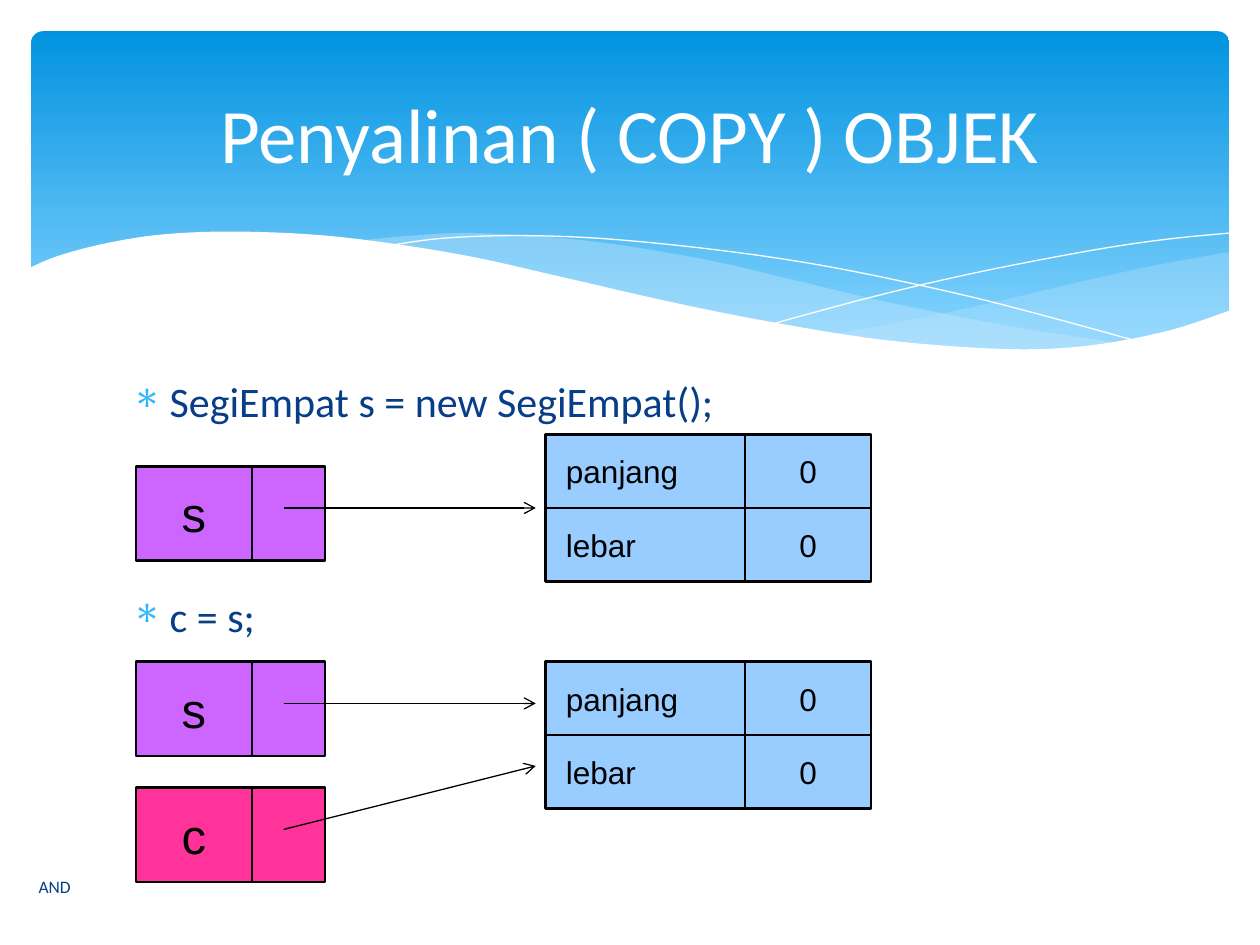
import pptx
import pptx.dml.color
import pptx.enum.shapes
import pptx.enum.text
import pptx.oxml
import pptx.oxml.ns
import pptx.util
import lxml.etree

Cm = pptx.util.Cm
Pt = pptx.util.Pt
qn = pptx.oxml.ns.qn
ALIGN = pptx.enum.text.PP_ALIGN
MIDDLE = pptx.enum.text.MSO_ANCHOR.MIDDLE
COLORS = {
    "sky": "0293E0", "light_sky": "83D3FE", "mist": "C6E7FC", "white": "FFFFFF",
    "navy": "073E87", "bullet": "31B6FD", "black": "000000",
    "purple": "CC66FF", "pink": "FF3399", "blue": "99CCFF",
}
RIGHT_BAND = [
    [(24.79, 5.08), (23.39, 5.33), (21.87, 5.66), (19.79, 6.15), (17.93, 6.53), (16.79, 6.73)],
    [(16.79, 6.73), (18.59, 6.96), (20.4, 7.06), (22.15, 6.96), (23.57, 6.68), (24.79, 6.27)],
]
MIDDLE_BAND = [
    [(22.68, 6.93), (20.5, 6.6), (17.93, 6.1), (15.98, 5.64), (14.1, 5.21),
     (11.81, 4.85), (9.65, 4.7), (8.33, 4.75), (7.26, 4.85)],
    [(7.26, 4.85), (9.19, 5.16), (11.4, 5.64), (14.38, 6.3), (16.89, 6.76),
     (19, 7.01), (20.78, 7.06), (22.68, 6.93)],
]
FALLING_LINE = [(7.85, 4.95), (8.97, 4.8), (10.57, 4.75), (12.42, 4.83), (14.78, 5.08),
                (16.89, 5.41), (19.3, 5.92), (21.11, 6.38), (23.04, 6.91)]
RISING_LINE = [(15.57, 6.53), (17.65, 5.97), (19.71, 5.49), (22, 5.05), (23.47, 4.83), (24.77, 4.7)]
WHITE_WAVE = [(0.58, 5.41), (1.17, 5.16), (2.16, 4.9), (3.35, 4.72), (4.9, 4.67), (6.88, 4.78),
              (9.27, 5.13), (11.35, 5.59), (13.44, 6.07), (15.32, 6.45), (17.48, 6.81),
              (19.33, 6.99), (20.9, 7.04), (22.23, 6.93), (23.62, 6.65), (24.82, 6.25)]


def rgb(name):
    """Return the named colour."""
    return pptx.dml.color.RGBColor.from_string(COLORS[name])


def write(paragraph, text, size=18, font="Calibri", color="black", align=ALIGN.LEFT, before=0):
    """Put formatted text into a paragraph."""
    paragraph.alignment = align
    paragraph.space_before = Pt(before)
    run = paragraph.add_run()
    run.text = text
    run.font.size = Pt(size)
    run.font.name = font
    run.font.color.rgb = rgb(color)


def smooth(knots, steps=6):
    """Return points of a Catmull-Rom curve through the knots."""
    padded = [knots[0], *knots, knots[-1]]
    points = [knots[0]]
    for a, b, c, d in zip(padded, padded[1:], padded[2:], padded[3:]):
        for step in range(1, steps + 1):
            t = step / steps
            points.append(tuple(
                q + 0.5 * t * (r - p + t * (2 * p - 5 * q + 4 * r - s + t * (3 * (q - r) + s - p)))
                for p, q, r, s in zip(a, b, c, d)))
    return points


def add_outline(slide, left, top, points, fill=None, opacity=100):
    """Draw a filled outline, or an open white hairline when no fill is given."""
    placed = [(Cm(left + x), Cm(top + y)) for x, y in points]
    builder = slide.shapes.build_freeform(*placed[0], scale=1.0)
    builder.add_line_segments(placed[1:], close=fill is not None)
    shape = builder.convert_to_shape()
    shape.shadow.inherit = False
    if fill is None:
        shape.fill.background()
        shape.line.color.rgb = rgb("white")
        shape.line.width = Pt(0)
        return
    shape.fill.solid()
    shape.fill.fore_color.rgb = rgb(fill)
    shape.line.fill.background()
    if opacity < 100:
        color = shape.element.spPr.find(".//" + qn("a:srgbClr"))
        lxml.etree.SubElement(color, qn("a:alpha"), val=str(opacity * 1000))


def add_backdrop(slide, left, top):
    """Draw the gradient panel with its waves."""
    panel = slide.shapes.add_shape(
        pptx.enum.shapes.MSO_SHAPE.ROUNDED_RECTANGLE,
        Cm(left + 0.63), Cm(top + 0.63), Cm(24.15), Cm(6.86))
    panel.adjustments[0] = 0.034
    panel.shadow.inherit = False
    panel.line.fill.background()
    panel.fill.gradient()
    panel.fill.gradient_angle = 270
    for stop, color, position in zip(panel.fill.gradient_stops, ("sky", "light_sky"), (0, 0.9)):
        stop.color.rgb = rgb(color)
        stop.position = position
    for band, opacity in ((RIGHT_BAND, 29), (MIDDLE_BAND, 40)):
        points = [point for edge in band for point in smooth(edge)]
        add_outline(slide, left, top, points, "mist", opacity)
    for line in (FALLING_LINE, RISING_LINE):
        add_outline(slide, left, top, smooth(line))
    wave = smooth(WHITE_WAVE) + [(24.82, 8.36), (0.58, 8.36)]
    add_outline(slide, left, top, wave, "white")


def add_title(slide, left, top, width, height):
    """Place the title above the backdrop."""
    title = slide.shapes.title
    title.left, title.top, title.width, title.height = map(Cm, (left, top, width, height))
    title.text_frame.vertical_anchor = MIDDLE
    write(title.text_frame.paragraphs[0], "Penyalinan ( COPY ) OBJEK",
          size=44, color="white", align=ALIGN.CENTER)
    title.element.getparent().append(title.element)


def add_text_box(slide, left, top, width, height):
    """Add a wrapping text box and return its text frame."""
    frame = slide.shapes.add_textbox(Cm(left), Cm(top), Cm(width), Cm(height)).text_frame
    frame.word_wrap = True
    return frame


def add_statements(slide, left, top, width, height):
    """List the two statements as bullets."""
    frame = add_text_box(slide, left, top, width, height)
    statements = (("SegiEmpat s = new SegiEmpat();", 0), ("c = s;", 94))
    for index, (text, before) in enumerate(statements):
        paragraph = frame.add_paragraph() if index else frame.paragraphs[0]
        write(paragraph, text, size=24, color="navy", before=before)
        properties = paragraph._p.get_or_add_pPr()
        properties.set("marL", str(Cm(0.76)))
        properties.set("indent", str(Cm(-0.76)))
        bullet_color = lxml.etree.SubElement(properties, qn("a:buClr"))
        lxml.etree.SubElement(bullet_color, qn("a:srgbClr"), val=COLORS["bullet"])
        lxml.etree.SubElement(properties, qn("a:buChar"), char="∗")


def add_footer(slide, left, top, width, height):
    """Write the footer."""
    frame = add_text_box(slide, left, top, width, height)
    frame.vertical_anchor = MIDDLE
    write(frame.paragraphs[0], "AND", size=10, color="navy")


def add_cell(slide, left, top, width, height, fill, text="", size=18, align=ALIGN.CENTER):
    """Draw one outlined memory cell."""
    cell = slide.shapes.add_shape(
        pptx.enum.shapes.MSO_SHAPE.RECTANGLE, Cm(left), Cm(top), Cm(width), Cm(height))
    cell.shadow.inherit = False
    cell.fill.solid()
    cell.fill.fore_color.rgb = rgb(fill)
    cell.line.color.rgb = rgb("black")
    cell.line.width = Pt(1.5)
    if text:
        frame = cell.text_frame
        frame.vertical_anchor = MIDDLE
        if align == ALIGN.LEFT:
            frame.margin_left = Cm(0.41)
        write(frame.paragraphs[0], text, size=size, font="Arial", align=align)


def add_reference(slide, left, top, name, fill):
    """Draw a variable with its pointer cell."""
    add_cell(slide, left, top, 2.34, 1.9, fill, name, size=28)
    add_cell(slide, left + 2.34, top, 1.47, 1.9, fill)


def add_object(slide, left, top):
    """Draw an object with its two fields."""
    for row, field in enumerate(("panjang", "lebar")):
        row_top = top + row * 1.48
        add_cell(slide, left, row_top, 4.02, 1.48, "blue", field, align=ALIGN.LEFT)
        add_cell(slide, left + 4.02, row_top, 2.54, 1.48, "blue", "0")


def add_arrow(slide, left, top, right, bottom):
    """Draw an arrow from a pointer cell towards an object."""
    arrow = slide.shapes.add_connector(
        pptx.enum.shapes.MSO_CONNECTOR.STRAIGHT, Cm(left), Cm(top), Cm(right), Cm(bottom))
    arrow.line.color.rgb = rgb("black")
    arrow.line.width = Pt(0.75)
    properties = arrow.element.spPr
    lxml.etree.SubElement(properties.find(qn("a:ln")), qn("a:tailEnd"), type="arrow")
    lxml.etree.SubElement(properties, qn("a:effectLst"))


def main():
    """Build and save the slide."""
    presentation = pptx.Presentation()
    presentation.slide_width, presentation.slide_height = Cm(25.4), Cm(19.05)
    slide = presentation.slides.add_slide(presentation.slide_layouts[5])
    add_backdrop(slide, 0, 0)
    add_statements(slide, 2.41, 7.44, 20.57, 9.58)
    add_footer(slide, 0.53, 17.37, 10.52, 1.02)
    add_title(slide, 1.27, 0.94, 22.86, 3.48)
    for top in (8.76, 13.34):
        add_object(slide, 11, top)
    references = (("s", "purple", 9.4, 10.24), ("s", "purple", 13.34, 14.18), ("c", "pink", 15.88, 15.44))
    for name, fill, top, target in references:
        add_reference(slide, 2.74, top, name, fill)
        add_arrow(slide, 5.72, top + 0.84, 10.8, target)
    presentation.save("out.pptx")


if __name__ == "__main__":
    main()
